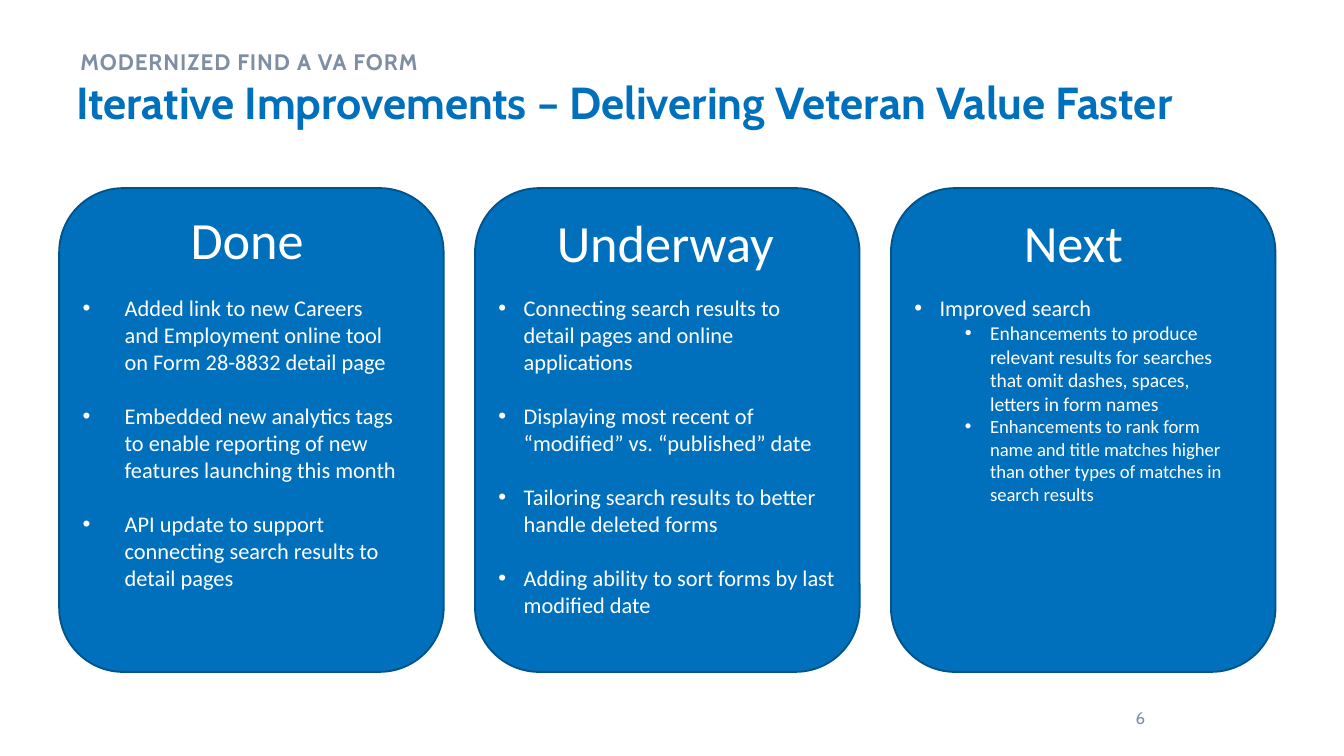
from pptx import Presentation
from pptx.dml.color import RGBColor
from pptx.enum.shapes import MSO_SHAPE as Shape
from pptx.enum.text import MSO_ANCHOR as Anchor, PP_ALIGN as Align
from pptx.oxml.ns import qn
from pptx.util import Pt
from lxml.etree import SubElement

COLORS = {"blue": "0070BC", "outline": "00538B", "gray": "7F8EA3", "white": "FFFFFF"}
CARD_LEFT, CARD_TOP, CARD_WIDTH, CARD_HEIGHT = 31.7, 100.8, 206, 259.2
CARD_PITCH = 222.8
BULLETS_TOP = 154.1
ITEM_GAP = 14.6

COLUMNS = [
    {
        "heading": "Done", "heading_at": (63.3, 107.3, 95), "indent": 22.5, "width": 183.6, "gap": ITEM_GAP,
        "items": [
            ("Added link to new Careers and Employment online tool on Form 28-8832 detail page", 0, 12),
            ("Embedded new analytics tags to enable reporting of new features launching this month", 0, 12),
            ("API update to support connecting search results to detail pages", 0, 12),
        ],
    },
    {
        "heading": "Underway", "heading_at": (36.7, 108.9, 146.2), "indent": 13.5, "width": 194.4, "gap": ITEM_GAP,
        "items": [
            ("Connecting search results to detail pages and online applications", 0, 12),
            ("Displaying most recent of “modified” vs. “published” date", 0, 12),
            ("Tailoring search results to better handle deleted forms", 0, 12),
            ("Adding ability to sort forms by last modified date", 0, 12),
        ],
    },
    {
        "heading": "Next", "heading_at": (64.1, 108.9, 95), "indent": 13.5, "width": 187.9, "gap": 0,
        "items": [
            ("Improved search", 0, 12),
            ("Enhancements to produce relevant results for searches that omit dashes, spaces, "
             "letters in form names", 1, 10.5),
            ("Enhancements to rank form name and title matches higher than other types of "
             "matches in search results", 1, 10),
        ],
    },
]


class SlideBuilder:
    """Holds the style and the current slide."""

    title_font, body_font, level_step = "Cabin", "Calibri", 27

    def __init__(self, slide):
        self.slide = slide

    def color(self, name):
        return RGBColor.from_string(COLORS[name])

    def style(self, paragraph, size, color, font, bold=False):
        paragraph.font.size = Pt(size)
        paragraph.font.name = font
        paragraph.font.bold = bold
        paragraph.font.color.rgb = self.color(color)

    def frame(self, left, top, width, height):
        box = self.slide.shapes.add_textbox(Pt(left), Pt(top), Pt(width), Pt(height))
        box.text_frame.word_wrap = True
        return box.text_frame

    def text(self, words, area, size, color, font, bold=False):
        paragraph = self.frame(*area).paragraphs[0]
        paragraph.add_run().text = words
        self.style(paragraph, size, color, font, bold)
        return paragraph

    def eyebrow(self, words, area):
        paragraph = self.text(words, area, 12, "gray", self.title_font, True)
        paragraph.line_spacing = 1.2
        paragraph.runs[0].font._element.set("spc", "50")

    def page_number(self, number, area):
        frame = self.frame(*area)
        frame.vertical_anchor = Anchor.MIDDLE
        paragraph = frame.paragraphs[0]
        paragraph.add_run().text = number
        paragraph.alignment = Align.RIGHT
        self.style(paragraph, 9, "gray", self.title_font)

    def card(self, left):
        card = self.slide.shapes.add_shape(
            Shape.ROUNDED_RECTANGLE, Pt(left), Pt(CARD_TOP), Pt(CARD_WIDTH), Pt(CARD_HEIGHT))
        card.shadow.inherit = False
        card.fill.solid()
        card.fill.fore_color.rgb = self.color("blue")
        card.line.color.rgb = self.color("outline")
        card.line.width = Pt(1)

    def bullets(self, items, area, indent, gap):
        frame = self.frame(*area)
        for index, (words, level, size) in enumerate(items):
            paragraph = frame.add_paragraph() if index else frame.paragraphs[0]
            paragraph.add_run().text = words
            paragraph.level = level
            properties = paragraph._p.get_or_add_pPr()
            properties.set("marL", str(Pt(indent + level * self.level_step)))
            properties.set("indent", str(-Pt(indent)))
            SubElement(properties, qn("a:buFont"), typeface="Arial")
            SubElement(properties, qn("a:buChar"), char="•")
            if index < len(items) - 1:
                paragraph.space_after = Pt(gap)
            self.style(paragraph, size, "white", self.body_font)

    def column(self, left, content):
        self.card(left)
        self.bullets(content["items"], (left + 5.5, BULLETS_TOP, content["width"], 200),
                     content["indent"], content["gap"])
        offset, top, width = content["heading_at"]
        self.text(content["heading"], (left + offset, top, width, 41), 28, "white", self.body_font)


def main():
    deck = Presentation()
    deck.slide_width, deck.slide_height = Pt(720), Pt(405)
    builder = SlideBuilder(deck.slides.add_slide(deck.slide_layouts[6]))
    builder.text("Iterative Improvements – Delivering Veteran Value Faster",
                 (33.8, 36.7, 669.6, 49.7), 24, "blue", builder.title_font, True)
    builder.page_number("6", (566.6, 373.7, 54, 21.6))
    builder.eyebrow("MODERNIZED FIND A VA FORM", (36, 19.4, 594, 20.9))
    for index, content in enumerate(COLUMNS):
        builder.column(CARD_LEFT + index * CARD_PITCH, content)
    deck.save("out.pptx")


if __name__ == "__main__":
    main()
